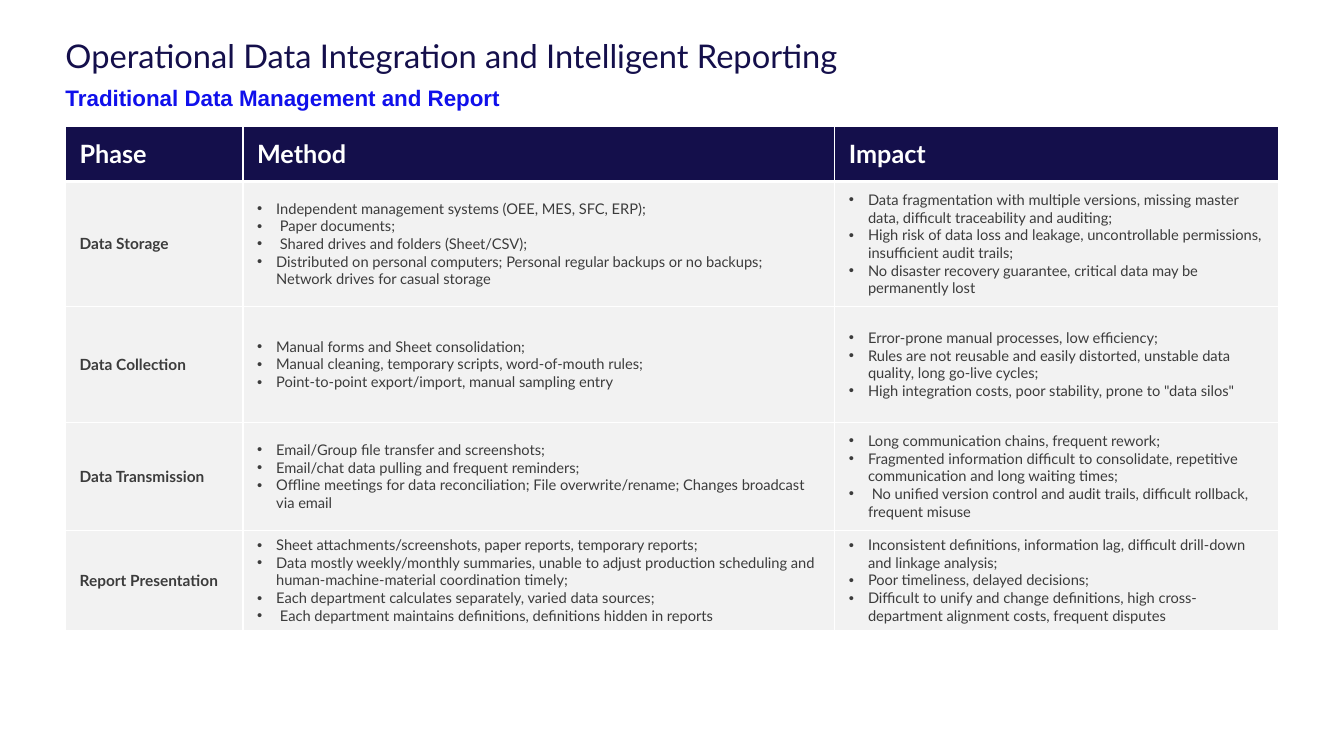
import pptx
import pptx.util
import pptx.dml.color
import pptx.enum.text
from lxml import etree
from pptx.oxml.ns import qn

Inches, Pt = pptx.util.Inches, pptx.util.Pt
RGBColor = pptx.dml.color.RGBColor
MSO_ANCHOR = pptx.enum.text.MSO_ANCHOR

# Content
TITLE = "Operational Data Integration and Intelligent Reporting"
SUBTITLE = "Traditional Data Management and Report"
HEADERS = ["Phase", "Method", "Impact"]
PHASES = [
    ("Data Storage",
     ["Independent management systems (OEE, MES, SFC, ERP);",
      " Paper documents;",
      " Shared drives and folders (Sheet/CSV);",
      "Distributed on personal computers; Personal regular backups or no backups; "
      "Network drives for casual storage"],
     ["Data fragmentation with multiple versions, missing master data, "
      "difficult traceability and auditing;",
      "High risk of data loss and leakage, uncontrollable permissions, insufficient audit trails;",
      "No disaster recovery guarantee, critical data may be permanently lost"]),
    ("Data Collection",
     ["Manual forms and Sheet consolidation;",
      "Manual cleaning, temporary scripts, word-of-mouth rules;",
      "Point-to-point export/import, manual sampling entry"],
     ["Error-prone manual processes, low efficiency;",
      "Rules are not reusable and easily distorted, unstable data quality, long go-live cycles;",
      'High integration costs, poor stability, prone to "data silos"']),
    ("Data Transmission",
     ["Email/Group file transfer and screenshots;",
      "Email/chat data pulling and frequent reminders;",
      "Offline meetings for data reconciliation; File overwrite/rename; "
      "Changes broadcast via email"],
     ["Long communication chains, frequent rework;",
      "Fragmented information difficult to consolidate, repetitive communication "
      "and long waiting times;",
      " No unified version control and audit trails, difficult rollback, frequent misuse"]),
    ("Report Presentation",
     ["Sheet attachments/screenshots, paper reports, temporary reports;",
      "Data mostly weekly/monthly summaries, unable to adjust production scheduling "
      "and human-machine-material coordination timely;",
      "Each department calculates separately, varied data sources;",
      " Each department maintains definitions, definitions hidden in reports"],
     ["Inconsistent definitions, information lag, difficult drill-down and linkage analysis;",
      "Poor timeliness, delayed decisions;",
      "Difficult to unify and change definitions, high cross-department alignment costs, "
      "frequent disputes"]),
]

# Layout and colours
LEFT, WIDTH = 0.65, 12.03
COL_WIDTHS = [1.76, 5.87, 4.4]
ROW_HEIGHTS = [0.55, 1.24, 1.15, 1.07, 0.99]
NAVY = RGBColor(0x14, 0x0F, 0x4B)
BLUE = RGBColor(0x10, 0x10, 0xEB)
WHITE = RGBColor(0xFF, 0xFF, 0xFF)
GREY = RGBColor(0xF2, 0xF2, 0xF2)
DARK = RGBColor(0x3C, 0x3C, 0x3C)


def write(tf, lines, size, color, font="Lato", bold=False, bullet=False, spacing=None):
    for i, line in enumerate(lines):
        p = tf.paragraphs[0] if i == 0 else tf.add_paragraph()
        if bullet:
            pPr = p._p.get_or_add_pPr()
            pPr.set("marL", str(Inches(0.19)))
            pPr.set("indent", str(Inches(-0.19)))
            etree.SubElement(pPr, qn("a:buFont"), typeface="Arial")
            etree.SubElement(pPr, qn("a:buChar"), char="•")
        if spacing:
            p.line_spacing = spacing
        r = p.add_run()
        r.text = line
        r.font.size, r.font.name, r.font.bold = Pt(size), font, bold
        r.font.color.rgb = color


def add_text(s, top, height, inset, text, **fmt):
    sp = s.shapes.add_textbox(Inches(LEFT), Inches(top), Inches(WIDTH), Inches(height))
    tf = sp.text_frame
    tf.word_wrap = True
    tf.margin_left = tf.margin_right = 0
    tf.margin_top = tf.margin_bottom = Inches(inset)
    write(tf, [text], **fmt)


def style_cell(cell, fill, top=1, bottom=1):
    cell.vertical_anchor = MSO_ANCHOR.MIDDLE
    cell.margin_left = cell.margin_right = Inches(0.14)
    cell.margin_top = cell.margin_bottom = Inches(0.06)
    tcPr = cell._tc.get_or_add_tcPr()
    for side, width in (("L", 1), ("R", 1), ("T", top), ("B", bottom)):
        ln = etree.SubElement(tcPr, qn("a:ln" + side), w=str(Pt(width)))
        solid = etree.SubElement(ln, qn("a:solidFill"))
        etree.SubElement(solid, qn("a:srgbClr"), val=str(WHITE))
    cell.fill.solid()
    cell.fill.fore_color.rgb = fill


prs = pptx.Presentation()
prs.slide_width, prs.slide_height = Inches(13.33), Inches(7.5)
s = prs.slides.add_slide(prs.slide_layouts[6])

# Headings
add_text(s, 0.4, 0.36, 0, TITLE, size=23.3, color=NAVY, spacing=0.9)
add_text(s, 0.79, 0.37, 0.05, SUBTITLE, size=16, color=BLUE, font="Arial", bold=True)

# Table
table = s.shapes.add_table(len(ROW_HEIGHTS), len(COL_WIDTHS), Inches(LEFT), Inches(1.25),
                           Inches(WIDTH), Inches(sum(ROW_HEIGHTS))).table
for column, width in zip(table.columns, COL_WIDTHS):
    column.width = Inches(width)
for row, height in zip(table.rows, ROW_HEIGHTS):
    row.height = Inches(height)

for c, header in enumerate(HEADERS):
    cell = table.cell(0, c)
    style_cell(cell, NAVY, bottom=3)
    write(cell.text_frame, [header], 18, WHITE, bold=True)

for r, (phase, *lists) in enumerate(PHASES, start=1):
    for c, lines in enumerate([[phase], *lists]):
        cell = table.cell(r, c)
        style_cell(cell, GREY, top=3 if r == 1 else 1)
        is_phase = c == 0
        write(cell.text_frame, lines, 11 if is_phase else 10.5, DARK,
              bold=is_phase, bullet=not is_phase)

prs.save("out.pptx")
